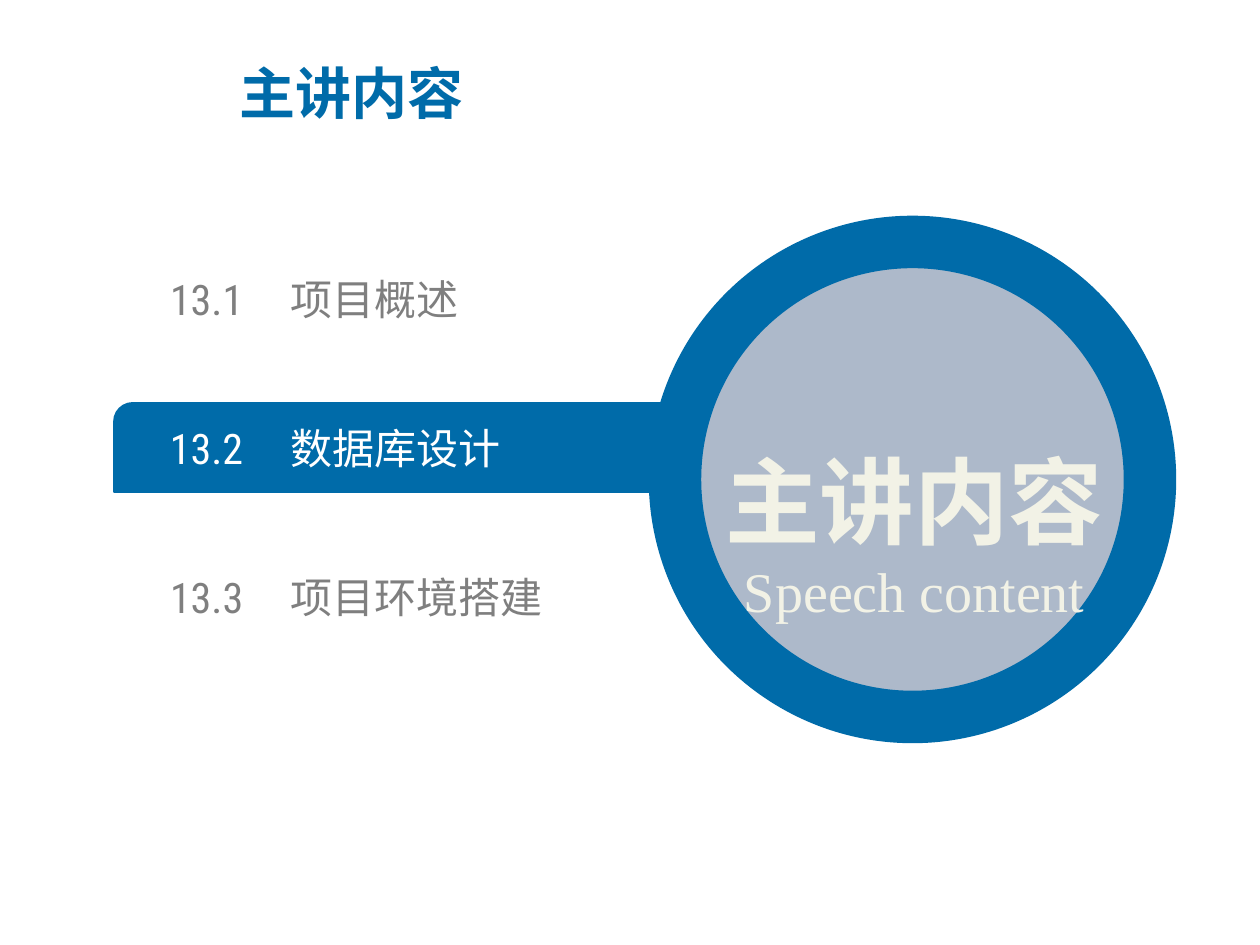
import pptx
import pptx.util
import pptx.dml.color
import pptx.enum.shapes
import pptx.enum.text
import pptx.oxml
import pptx.oxml.ns

SCALE = 914400 / 126
SANS = "Noto Sans CJK SC"
HUES = {"blue": "006BA9", "mist": "ADB9CA", "cream": "F2F2E6",
        "gray": "7F7F7F", "white": "FFFFFF"}
SHAPE = pptx.enum.shapes.MSO_SHAPE
ALIGN = pptx.enum.text.PP_ALIGN
FIT = pptx.enum.text.MSO_AUTO_SIZE


def px(num):
    return pptx.util.Emu(round(num * SCALE))


def hue(name):
    return pptx.dml.color.RGBColor.from_string(HUES[name])


class Deck:
    def __init__(self, wide, high):
        self.show = pptx.Presentation()
        self.show.slide_width = px(wide)
        self.show.slide_height = px(high)
        self.slide = self.show.slides.add_slide(self.show.slide_layouts[5])

    def frame(self, item, fit, inset=True):
        frame = item.text_frame
        frame.word_wrap = True
        frame.auto_size = fit
        frame.vertical_anchor = pptx.enum.text.MSO_ANCHOR.MIDDLE
        if not inset:
            frame.margin_left = frame.margin_right = 0
            frame.margin_top = frame.margin_bottom = 0
        return frame

    def style(self, para, size, font, color, bold=False, align=ALIGN.LEFT):
        para.alignment = align
        for run in para.runs:
            run.font.size = pptx.util.Pt(size)
            run.font.name = font
            run.font.bold = bold
            run.font.color.rgb = hue(color)
            east = pptx.oxml.parse_xml(
                f'<a:ea {pptx.oxml.ns.nsdecls("a")} typeface="{SANS}"/>')
            run.font._element.find(pptx.oxml.ns.qn("a:latin")).addnext(east)

    def title(self, text, box):
        item = self.slide.shapes.title
        item.left, item.top, item.width, item.height = map(px, box)
        frame = self.frame(item, FIT.NONE)
        frame.text = text
        self.style(frame.paragraphs[0], 32, SANS, "blue", True)

    def shape(self, kind, box, fill, line, width):
        item = self.slide.shapes.add_shape(kind, *map(px, box))
        item.shadow.inherit = False
        item.fill.solid()
        item.fill.fore_color.rgb = hue(fill)
        item.line.color.rgb = hue(line)
        item.line.width = pptx.util.Pt(width)
        return item

    def entry(self, text, box, color, stop):
        item = self.slide.shapes.add_textbox(*map(px, box))
        frame = self.frame(item, FIT.SHAPE_TO_FIT_TEXT, False)
        frame.text = text
        para = frame.paragraphs[0]
        self.style(para, 24, "Roboto Condensed", color)
        para._p.get_or_add_pPr().append(pptx.oxml.parse_xml(
            f'<a:tabLst {pptx.oxml.ns.nsdecls("a")}>'
            f'<a:tab pos="{px(stop)}" algn="l"/></a:tabLst>'))

    def label(self, head, sub, box):
        item = self.slide.shapes.add_textbox(*map(px, box))
        frame = self.frame(item, FIT.SHAPE_TO_FIT_TEXT)
        frame.text = head
        first = frame.paragraphs[0]
        first.line_spacing = 1.5
        self.style(first, 54, SANS, "cream", True, ALIGN.CENTER)
        last = frame.add_paragraph()
        last.text = sub
        self.style(last, 32, "Times New Roman", "cream", align=ALIGN.CENTER)


def main():
    deck = Deck(1260, 945)
    deck.title("主讲内容", (227, 54, 682, 77))
    bar = deck.shape(SHAPE.ROUND_2_DIAG_RECTANGLE, (114, 403, 788, 89),
                     "blue", "blue", 1)
    bar.adjustments[0] = 0.21
    bar.adjustments[1] = 0
    items = [("13.1\t项目概述", 600, "gray"),
             ("13.2\t数据库设计", 582, "white"),
             ("13.3\t项目环境搭建", 523, "gray")]
    for row, (text, wide, color) in enumerate(items):
        deck.entry(text, (170, 274 + 149 * row, wide, 50), color, 121)
    deck.shape(SHAPE.OVAL, (675, 242, 475, 475), "mist", "blue", 30)
    deck.label("主讲内容", "Speech content", (669, 379, 491, 252))
    deck.show.save("out.pptx")


if __name__ == "__main__":
    main()
